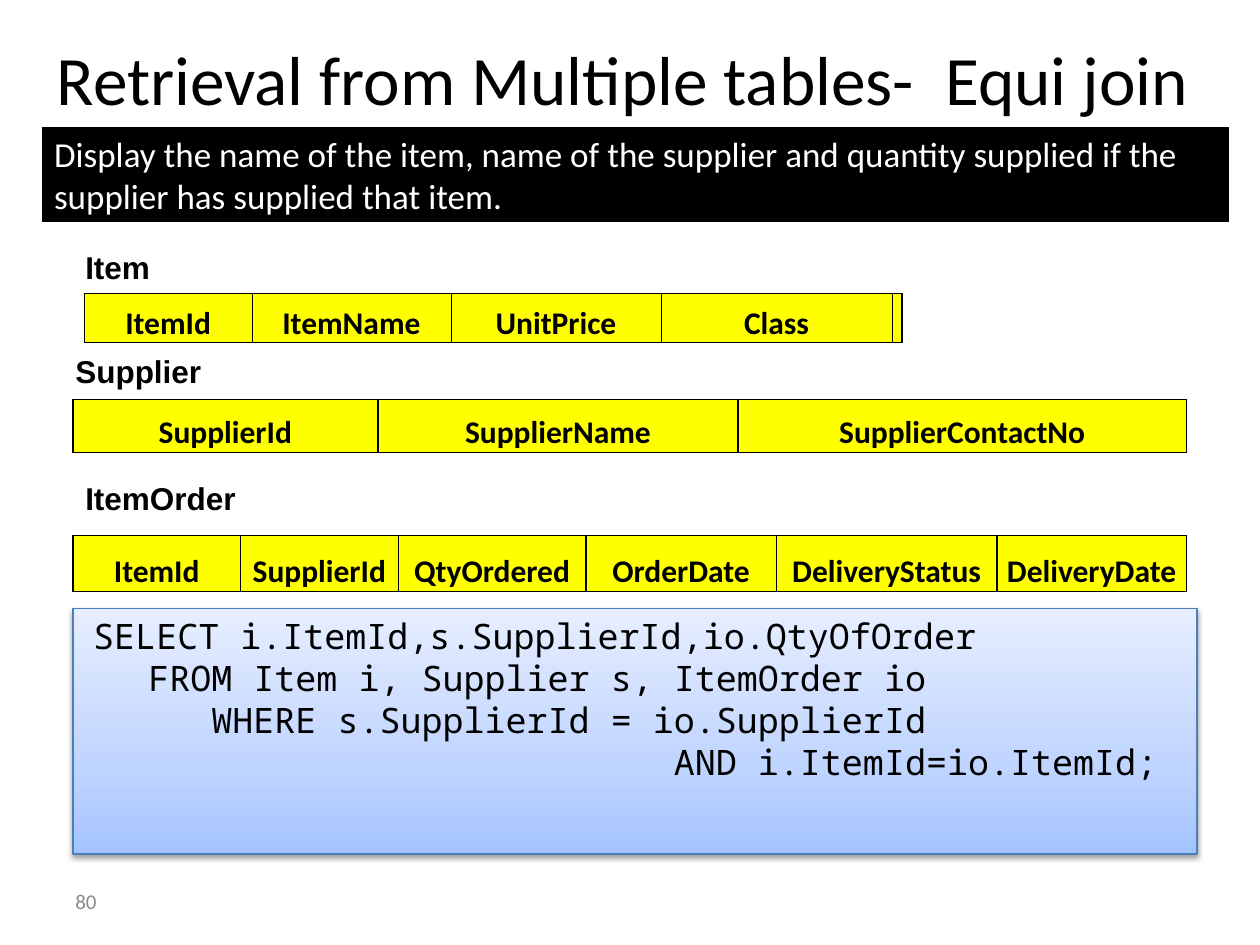
from pptx import Presentation
from pptx.dml.color import RGBColor
from pptx.enum.shapes import MSO_SHAPE
from pptx.enum.text import MSO_ANCHOR, PP_ALIGN
from pptx.oxml import parse_xml
from pptx.oxml.ns import nsdecls
from pptx.util import Cm, Pt

COLORS = {
    "black": "000000", "white": "FFFFFF", "yellow": "FFFF00", "gray": "8C8C8C",
    "code_line": "4B7EBC", "code_low": "A4C4FF", "code_mid": "BFD4FF", "code_high": "E6EEFF",
}


def format_text(paragraph, color, **font_values):
    for name, value in font_values.items():
        setattr(paragraph.font, name, value)
    paragraph.font.color.rgb = RGBColor.from_string(COLORS[color])


def add_label(text, left, top, color="black", **font_values):
    frame = slide.shapes.add_textbox(Cm(left), Cm(top), Cm(5), Cm(1.02)).text_frame
    frame.word_wrap = True
    frame.text = text
    format_text(frame.paragraphs[0], color, **font_values)
    return frame


deck = Presentation()
deck.slide_width, deck.slide_height = Cm(25.4), Cm(19.05)
slide = deck.slides.add_slide(deck.slide_layouts[5])

# Title
title = slide.shapes.title
title.left, title.top, title.width, title.height = Cm(0.64), Cm(0.84), Cm(23.83), Cm(1.47)
heading = title.text_frame
heading.text = "Retrieval from Multiple tables-  Equi join"
heading.vertical_anchor = MSO_ANCHOR.MIDDLE
heading.paragraphs[0].alignment = PP_ALIGN.CENTER
format_text(heading.paragraphs[0], "black", name="Calibri", size=Pt(39.6))

# Task and query boxes
task = slide.shapes.add_shape(MSO_SHAPE.RECTANGLE, Cm(0.84), Cm(2.54), Cm(23.95), Cm(1.96))
query = slide.shapes.add_shape(MSO_SHAPE.RECTANGLE, Cm(1.47), Cm(12.27), Cm(22.66), Cm(4.95))
for box, line_color in ((task, "white"), (query, "code_line")):
    box.shadow.inherit = False
    box.line.color.rgb = RGBColor.from_string(COLORS[line_color])
    box.line.width = Pt(0.75)
    box.text_frame.word_wrap = True
    box.text_frame.vertical_anchor = MSO_ANCHOR.TOP

task.fill.solid()
task.fill.fore_color.rgb = RGBColor.from_string(COLORS["black"])
task.text_frame.text = ("Display the name of the item, name of the supplier and quantity "
                        "supplied if the supplier has supplied that item.")
task.text_frame.paragraphs[0].alignment = PP_ALIGN.LEFT
format_text(task.text_frame.paragraphs[0], "white", name="Calibri", size=Pt(20))

# Query gradient and shadow
stops = "".join(
    f'<a:gs pos="{position * 1000}"><a:srgbClr val="{COLORS[color]}"/></a:gs>'
    for position, color in ((0, "code_low"), (35, "code_mid"), (100, "code_high")))
query.fill.gradient()
gradient = query.element.spPr.find(".//{*}gradFill")
gradient.getparent().replace(gradient, parse_xml(
    f'<a:gradFill {nsdecls("a")} rotWithShape="1"><a:gsLst>{stops}</a:gsLst>'
    '<a:lin ang="16200000" scaled="0"/></a:gradFill>'))
query.element.spPr.find("{*}effectLst").append(parse_xml(
    f'<a:outerShdw {nsdecls("a")} blurRad="{Pt(3.1)}" dist="{Pt(1.6)}" dir="5400000" '
    f'rotWithShape="0"><a:srgbClr val="{COLORS["black"]}"><a:alpha val="38000"/>'
    '</a:srgbClr></a:outerShdw>'))

# Query text
query.text_frame.text = "\n".join((
    " SELECT i.ItemId,s.SupplierId,io.QtyOfOrder",
    "   FROM Item i, Supplier s, ItemOrder io",
    "      WHERE s.SupplierId = io.SupplierId",
    "                            AND i.ItemId=io.ItemId;",
))
for statement in query.text_frame.paragraphs:
    statement.alignment = PP_ALIGN.LEFT
    format_text(statement, "black", name="Noto Sans Mono", size=Pt(20))
# The first line starts with a narrower space
select = query.text_frame.paragraphs[0]
select.runs[0].text = " "
select.runs[0].font.name = "Calibri"
select.add_run().text = "SELECT i.ItemId,s.SupplierId,io.QtyOfOrder"

# Relations: name, label left and top, table left, top and height,
# inner and right border widths, columns
relations = (
    ("Item", 1.47, 4.88, 1.7, 5.92, 0.99, 0.5, 1,
     {"ItemId": 3.38, "ItemName": 4.01, "UnitPrice": 4.24, "Class": 4.65, "": 0.2}),
    ("Supplier", 1.27, 6.98, 1.47, 8.05, 1.07, 1, 0.5,
     {"SupplierId": 6.15, "SupplierName": 7.26, "SupplierContactNo": 9.04}),
    ("ItemOrder", 1.47, 9.53, 1.47, 10.8, 1.12, 1, 0.5,
     {"ItemId": 3.38, "SupplierId": 3.18, "QtyOrdered": 3.78, "OrderDate": 3.84,
      "DeliveryStatus": 4.45, "DeliveryDate": 3.81}),
)
cell_format = {
    "margin_left": Cm(0.03), "margin_right": Cm(0.03), "margin_top": Cm(0.03),
    "margin_bottom": 0, "vertical_anchor": MSO_ANCHOR.BOTTOM,
}
for relation, label_left, label_top, left, top, height, inner, right, columns in relations:
    add_label(relation, label_left, label_top, name="Arial", size=Pt(18), bold=True)
    fields = slide.shapes.add_table(1, len(columns), Cm(left), Cm(top),
                                    Cm(sum(columns.values())), Cm(height)).table
    fields.first_row = fields.horz_banding = False
    last = len(columns) - 1
    for index, (field, width) in enumerate(columns.items()):
        fields.columns[index].width = Cm(width)
        cell = fields.cell(0, index)
        cell.text = field
        for name, value in cell_format.items():
            setattr(cell, name, value)
        cell.text_frame.paragraphs[0].alignment = PP_ALIGN.CENTER
        format_text(cell.text_frame.paragraphs[0], "black",
                    name="Calibri", size=Pt(18), bold=True)
        borders = {"L": inner if index else 1, "R": right if index == last else inner,
                   "T": 1, "B": 0.5}
        for side, weight in borders.items():
            cell._tc.get_or_add_tcPr().append(parse_xml(
                f'<a:ln{side} {nsdecls("a")} w="{Pt(weight)}"><a:solidFill>'
                f'<a:srgbClr val="{COLORS["black"]}"/></a:solidFill></a:ln{side}>'))
        cell.fill.solid()
        cell.fill.fore_color.rgb = RGBColor.from_string(COLORS["yellow"])

# Slide number
page_number = add_label("80", 1.27, 17.65, "gray", name="Calibri", size=Pt(12))
page_number.vertical_anchor = MSO_ANCHOR.MIDDLE

deck.save("out.pptx")
